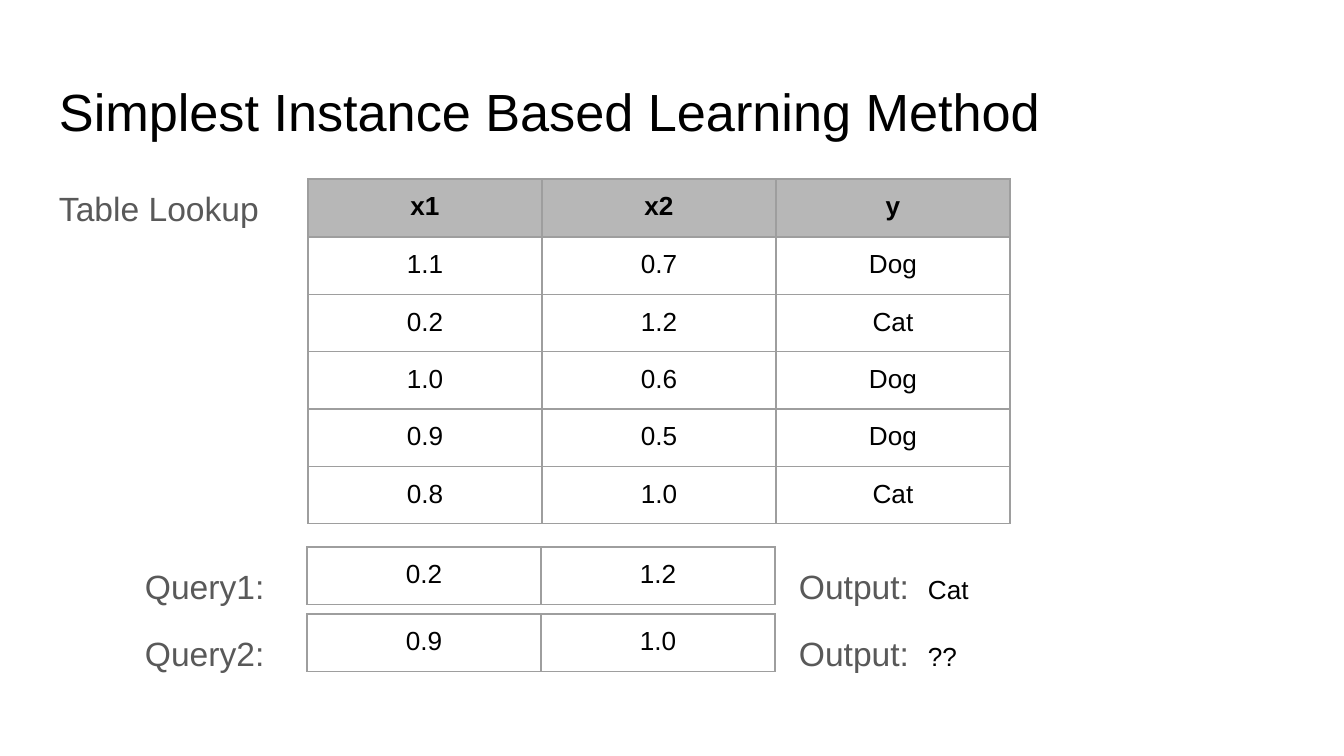
from dataclasses import dataclass

from lxml.etree import SubElement
from pptx import Presentation
from pptx.dml.color import RGBColor
from pptx.enum.text import MSO_ANCHOR, PP_ALIGN
from pptx.oxml.ns import qn
from pptx.util import Emu, Pt


@dataclass(frozen=True)
class Theme:
    font: str = "Arial"
    ink: str = "000000"
    muted: str = "595959"
    header: str = "B7B7B7"
    border: str = "9E9E9E"
    title_size: int = 28
    body_size: int = 18
    cell_size: int = 14
    border_width: float = 0.75


THEME = Theme()

TITLE = "Simplest Instance Based Learning Method"
SUBTITLE = "Table Lookup"
EXAMPLES = [
    ("x1", "x2", "y"),
    ("1.1", "0.7", "Dog"),
    ("0.2", "1.2", "Cat"),
    ("1.0", "0.6", "Dog"),
    ("0.9", "0.5", "Dog"),
    ("0.8", "1.0", "Cat"),
]
QUERIES = [
    ("Query1:", ("0.2", "1.2"), "Cat"),
    ("Query2:", ("0.9", "1.0"), "??"),
]
OUTPUT_LABEL = "Output:"

# Lengths in px
SLIDE_WIDTH, SLIDE_HEIGHT = 1344, 756
INSET = 13
MARGIN, TEXT_WIDTH = 46, 1252
COLUMN_WIDTH, ROW_HEIGHT, HEADER_HEIGHT = 234, 56, 58
QUERY_TOP, QUERY_PITCH = 547, 67
ANSWER_TAB = 129


def px(length):
    return Emu(round(length * 914400 / 134.4))


MARGINS = {f"margin_{side}": px(INSET) for side in ("left", "top", "right", "bottom")}


def apply(target, values):
    for name, value in values.items():
        setattr(target, name, value)


def add_run(paragraph, text, size, color, bold=False):
    run = paragraph.add_run()
    run.text = text
    apply(run.font, {"name": THEME.font, "size": Pt(size), "bold": bold})
    run.font.color.rgb = RGBColor.from_string(color)


def add_text(slide, box, runs, **paragraph_format):
    """Add a text box of one paragraph; each run is (text, size, color)."""
    frame = slide.shapes.add_textbox(*map(px, box)).text_frame
    apply(frame, {**MARGINS, "word_wrap": True, "vertical_anchor": MSO_ANCHOR.TOP})
    paragraph = frame.paragraphs[0]
    apply(paragraph, paragraph_format)
    for run in runs:
        add_run(paragraph, *run)
    return paragraph


def add_body(slide, box, *runs):
    return add_text(slide, box, runs, line_spacing=1.15, space_after=Pt(16))


def add_tab_stop(paragraph, position):
    tabs = SubElement(paragraph._p.get_or_add_pPr(), qn("a:tabLst"))
    SubElement(tabs, qn("a:tab"), pos=str(px(position)), algn="l")


def add_borders(cell):
    properties = cell._tc.get_or_add_tcPr()
    for side in ("lnL", "lnR", "lnT", "lnB"):
        line = SubElement(properties, qn(f"a:{side}"), w=str(Pt(THEME.border_width)))
        fill = SubElement(line, qn("a:solidFill"))
        SubElement(fill, qn("a:srgbClr"), val=THEME.border)


def add_grid(slide, left, top, rows, has_header=False):
    heights = [ROW_HEIGHT] * len(rows)
    if has_header:
        heights[0] = HEADER_HEIGHT
    columns = len(rows[0])
    table = slide.shapes.add_table(
        len(rows), columns, px(left), px(top), px(columns * COLUMN_WIDTH), px(sum(heights))
    ).table
    apply(table, {"first_row": has_header, "horz_banding": False})
    for column in table.columns:
        column.width = px(COLUMN_WIDTH)
    for row_index, values in enumerate(rows):
        table.rows[row_index].height = px(heights[row_index])
        is_header = has_header and row_index == 0
        for column_index, value in enumerate(values):
            cell = table.cell(row_index, column_index)
            apply(cell, MARGINS)
            add_borders(cell)
            if is_header:
                cell.fill.solid()
                cell.fill.fore_color.rgb = RGBColor.from_string(THEME.header)
            else:
                cell.fill.background()
            paragraph = cell.text_frame.paragraphs[0]
            paragraph.alignment = PP_ALIGN.CENTER
            add_run(paragraph, value, THEME.cell_size, THEME.ink, is_header)


def main():
    presentation = Presentation()
    apply(presentation, {"slide_width": px(SLIDE_WIDTH), "slide_height": px(SLIDE_HEIGHT)})
    slide = presentation.slides.add_slide(presentation.slide_layouts[6])

    add_text(slide, (MARGIN, 66, TEXT_WIDTH, 85), [(TITLE, THEME.title_size, THEME.ink)])
    add_body(slide, (MARGIN, 169, TEXT_WIDTH, 503), (SUBTITLE, THEME.body_size, THEME.muted))
    add_grid(slide, 308, 179, EXAMPLES, has_header=True)

    for index, (label, values, answer) in enumerate(QUERIES):
        top = QUERY_TOP + index * QUERY_PITCH
        add_grid(slide, 307, top, [values])
        add_body(slide, (132, top, 165, 58), (label, THEME.body_size, THEME.muted))
        output = add_body(
            slide,
            (786, top, 441, 58),
            (OUTPUT_LABEL + "\t", THEME.body_size, THEME.muted),
            (answer, THEME.cell_size, THEME.ink),
        )
        add_tab_stop(output, ANSWER_TAB)

    presentation.save("out.pptx")


if __name__ == "__main__":
    main()
